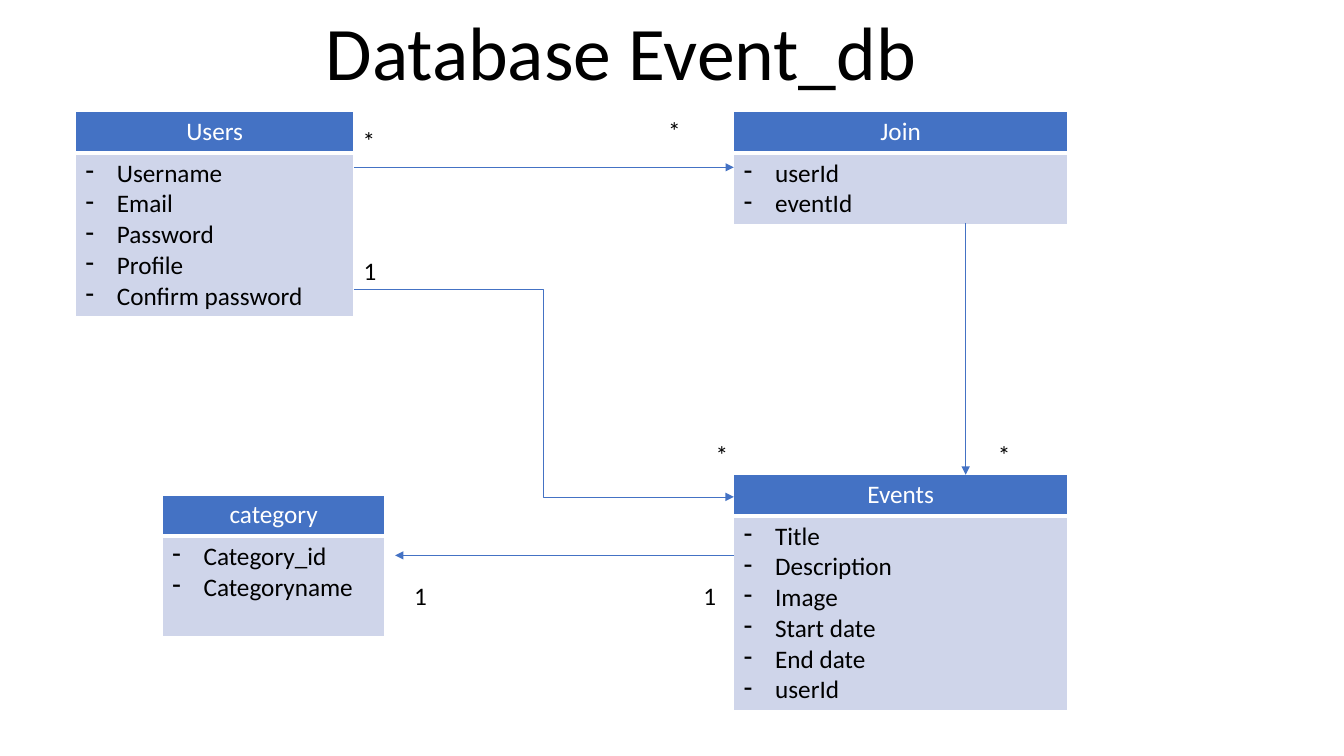
from pptx import Presentation
from pptx import util as u
from pptx.dml.color import RGBColor
from pptx.enum import shapes, text
from pptx.oxml import ns, xmlchemy

BLUE = RGBColor(0x44, 0x72, 0xC4)
PALE = RGBColor(0xCF, 0xD5, 0xEA)
BLACK = RGBColor(0, 0, 0)
WHITE = RGBColor(255, 255, 255)

GRID_COLUMNS, GRID_ROWS = 133.33, 75
HEADER_ROWS, LINE_ROWS, CELL_PADDING = 4.1, 3, 1


def add_child(parent, tag, **attributes):
    child = xmlchemy.OxmlElement(tag)
    for name, value in attributes.items():
        child.set(name, str(value))
    parent.append(child)
    return child


def write(para, words, size=18, color=BLACK, font="Calibri", align=None):
    para.alignment = align
    span = para.add_run()
    span.text = words
    span.font.name = font
    span.font.size = u.Pt(size)
    span.font.bold = False
    span.font.color.rgb = color


class Diagram:
    def __init__(self, deck):
        self.page = deck.slides.add_slide(deck.slide_layouts[6])
        self.column = deck.slide_width / GRID_COLUMNS
        self.row = deck.slide_height / GRID_ROWS

    def place(self, columns, rows):
        return u.Emu(round(columns * self.column)), u.Emu(round(rows * self.row))

    def border(self, cell, bottom):
        properties = cell._tc.get_or_add_tcPr()
        for side, width in (("L", 1), ("R", 1), ("T", 1), ("B", bottom)):
            line = add_child(properties, f"a:ln{side}", w=u.Pt(width))
            add_child(add_child(line, "a:solidFill"), "a:srgbClr", val=WHITE)

    def bullet(self, para):
        properties = para._p.get_or_add_pPr()
        indent = u.Inches(0.31)
        properties.set("marL", str(indent))
        properties.set("indent", str(-indent))
        add_child(properties, "a:buFontTx")
        add_child(properties, "a:buChar", char="-")

    def entity(self, name, fields, left, top, width, spare_lines=0):
        body_rows = CELL_PADDING + LINE_ROWS * (len(fields) + spare_lines)
        size = self.place(width, HEADER_ROWS + body_rows)
        table = self.page.shapes.add_table(2, 1, *self.place(left, top), *size).table
        table.horz_banding = False
        for index, rows in enumerate((HEADER_ROWS, body_rows)):
            table.rows[index].height = self.place(0, rows)[1]
        header, body = table.cell(0, 0), table.cell(1, 0)
        for cell, fill, bottom in ((header, BLUE, 3), (body, PALE, 1)):
            self.border(cell, bottom)
            cell.fill.solid()
            cell.fill.fore_color.rgb = fill
        write(header.text_frame.paragraphs[0], name, color=WHITE,
              align=text.PP_ALIGN.CENTER)
        frame = body.text_frame
        for index, field in enumerate(fields):
            para = frame.add_paragraph() if index else frame.paragraphs[0]
            write(para, field)
            self.bullet(para)

    def arrow(self, start, end, kind=shapes.MSO_CONNECTOR.STRAIGHT):
        arrow = self.page.shapes.add_connector(
            kind, *self.place(*start), *self.place(*end))
        arrow.line.color.rgb = BLUE
        arrow.line.width = u.Pt(0.5)
        add_child(arrow.line._get_or_add_ln(), "a:tailEnd", type="triangle")
        add_child(arrow._element.find(ns.qn("p:spPr")), "a:effectLst")

    def label(self, words, left, top, width, height=4, wrap=True, **style):
        box = self.page.shapes.add_textbox(
            *self.place(left, top), *self.place(width, height))
        box.text_frame.word_wrap = wrap
        box.text_frame.auto_size = text.MSO_AUTO_SIZE.SHAPE_TO_FIT_TEXT
        write(box.text_frame.paragraphs[0], words, **style)


deck = Presentation()
deck.slide_width, deck.slide_height = u.Inches(13.33), u.Inches(7.5)
diagram = Diagram(deck)

USERS_RIGHT, EVENTS_LEFT, EVENTS_TOP, JOIN_X = 35.1, 72.8, 47.1, 95.8

diagram.entity("Users", ["Username", "Email", "Password", "Profile",
                         "Confirm password"], 7.5, 11.1, 27.6)
diagram.entity("Join", ["userId", "eventId"], EVENTS_LEFT, 11.1, 33.1)
diagram.entity("Events", ["Title", "Description", "Image", "Start date",
                          "End date", "userId"], EVENTS_LEFT, EVENTS_TOP, 33.1)
diagram.entity("category", ["Category_id", "Categoryname"], 16.1, 49.1, 22.1,
               spare_lines=1)

diagram.arrow((USERS_RIGHT, 16.6), (EVENTS_LEFT, 16.6))
diagram.arrow((JOIN_X, 22.1), (JOIN_X, EVENTS_TOP))
diagram.arrow((USERS_RIGHT, 28.7), (EVENTS_LEFT, 49.3),
              shapes.MSO_CONNECTOR.ELBOW)
diagram.arrow((EVENTS_LEFT, 55.1), (39.2, 55.1))

for mark, left, top, width in (
    ("1", 35.1, 24.8, 5.1),
    ("*", 98, 43.1, 5.7),
    ("*", 65.3, 10.9, 6.7),
    ("*", 35, 11.9, 6.7),
    ("*", 70, 43.1, 2.8),
    ("1", 40.1, 57.1, 2.9),
    ("1", 68.8, 57.1, 2.9),
):
    diagram.label(mark, left, top, width)

diagram.label("Database Event_db", 31, 0, 61.2, 10.1, wrap=False, size=54,
              align=text.PP_ALIGN.CENTER)

deck.save("out.pptx")
